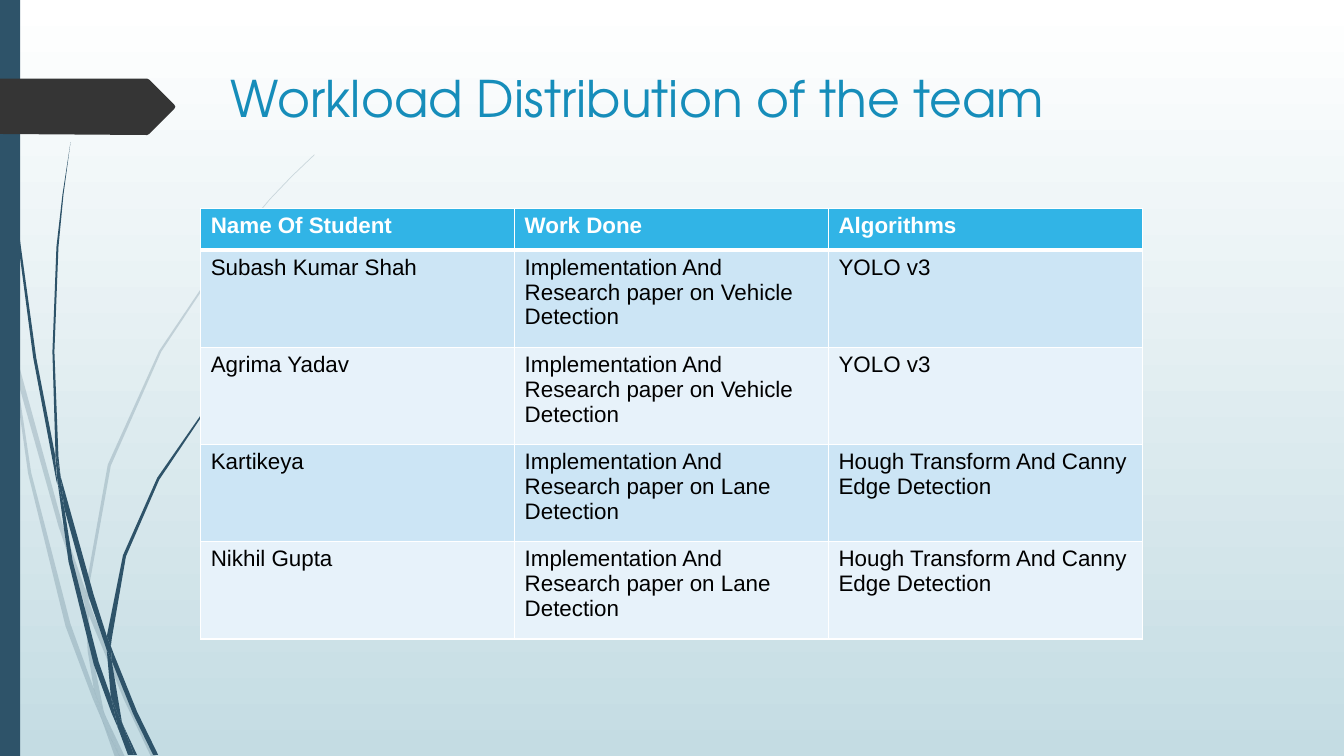
from dataclasses import dataclass

from lxml.etree import SubElement
from pptx import Presentation
from pptx.dml.color import RGBColor as Rgb
from pptx.enum.shapes import MSO_SHAPE as Kind
from pptx.enum.text import MSO_ANCHOR as Anchor, MSO_AUTO_SIZE as Fit, PP_ALIGN as Align
from pptx.oxml import parse_xml
from pptx.oxml.ns import nsdecls, qn
from pptx.util import Cm, Pt


@dataclass(frozen=True)
class Theme:
    top: str = "FFFFFF"
    base: str = "C4DCE3"
    stem: str = "2E5369"
    tag: str = "353535"
    title: str = "168DBA"
    head: str = "31B4E6"
    odd: str = "CCE5F5"
    even: str = "E7F2FA"
    ink: str = "000000"
    rule: str = "FFFFFF"
    title_font: str = "TeX Gyre Adventor"
    body_font: str = "Arial"
    title_size: int = 36
    body_size: int = 16


theme = Theme()
UNIT = Cm(2.54) / 100  # outline points are hundredths of an inch


def paint(shape, color):
    shape.fill.solid()
    shape.fill.fore_color.rgb = Rgb.from_string(color)
    shape.line.fill.background()
    shape.shadow.inherit = False


def outline(shapes, flat, color):
    first, *rest = zip(flat[::2], flat[1::2])
    pen = shapes.build_freeform(*first, scale=UNIT)
    pen.add_line_segments(rest, close=True)
    shape = pen.convert_to_shape()
    paint(shape, color)
    return shape


# Slide and background
deck = Presentation()
deck.slide_width, deck.slide_height = Cm(33.87), Cm(19.05)
slide = deck.slides.add_slide(deck.slide_layouts[5])
back = slide.background.fill
back.gradient()
back.gradient_angle = 270
for stop, color in zip(back.gradient_stops, (theme.top, theme.base)):
    stop.color.rgb = Rgb.from_string(color)

# Grass blades: faint ones behind, solid ones in front
faint = [
    (11, 350, 9, 322, 0, 282, 0, 299, 10, 344),
    (58, 522, 84, 599, 85, 586, 62, 520, 14, 345, 17, 376),
    (92, 607, 88, 596, 88, 610, 123, 694, 150, 751, 155, 751, 127, 692),
    (119, 751, 124, 751, 105, 711),
    (93, 683, 70, 619, 31, 469, 17, 376, 11, 350, 28, 470, 65, 621, 92, 693,
     101, 714, 99, 707),
    (84, 599, 87, 646, 93, 683, 96, 692, 105, 711, 103, 706, 91, 646, 88, 610,
     88, 608),
    (88, 584, 110, 462, 160, 349, 229, 245, 268, 198, 290, 175, 312, 154, 312, 153,
     289, 175, 268, 197, 228, 244, 158, 348, 107, 461, 85, 584, 85, 586, 88, 596),
    (101, 714, 114, 751, 119, 751),
    (88, 608, 88, 610, 88, 596, 85, 586, 84, 599),
    (96, 692, 93, 683, 99, 707, 101, 714, 119, 751, 105, 711),
]
solid = [
    (7, 110, 17, 233, 33, 355, 56, 477, 57, 481, 55, 457, 55, 453, 36, 355,
     19, 232, 8, 109, 5, 48, 4, 0, 3, 0, 4, 48),
    (88, 592, 106, 645, 106, 633, 106, 631, 93, 590, 60, 472, 64, 505),
    (113, 649, 110, 641, 111, 656, 132, 708, 152, 749, 157, 749, 136, 706),
    (110, 691, 98, 657, 72, 556, 64, 505, 57, 477, 68, 557, 93, 659, 111, 708,
     117, 722, 116, 717),
    (60, 472, 58, 453, 54, 349, 58, 245, 63, 193, 70, 141, 62, 193, 56, 245,
     52, 349, 55, 449),
    (133, 749, 136, 749, 122, 719),
    (57, 477, 64, 505, 60, 472, 55, 449, 55, 453),
    (111, 633, 125, 552, 158, 476, 205, 406, 231, 374, 245, 359, 261, 344, 260, 344,
     245, 358, 231, 373, 204, 405, 156, 474, 122, 551, 106, 631, 110, 641),
    (117, 722, 127, 749, 131, 749),
    (106, 645, 110, 691, 116, 706, 122, 719, 121, 716, 111, 656, 109, 651),
    (106, 645, 109, 651, 111, 656, 110, 641, 106, 631, 106, 633),
    (116, 706, 110, 691, 116, 717, 117, 722, 130, 749, 133, 749, 122, 719),
]
for blades, alpha in ((faint, 20), (solid, 100)):
    group = slide.shapes.add_group_shape()
    for flat in blades:
        blade = outline(group.shapes, flat, theme.stem)
        if alpha < 100:
            tint = next(blade._element.iter(qn("a:srgbClr")))
            SubElement(tint, qn("a:alpha")).set("val", str(alpha * 1000))

# Side bar and page tag
bar = slide.shapes.add_shape(Kind.RECTANGLE, 0, 0, Cm(0.51), deck.slide_height)
paint(bar, theme.stem)
tag = (0, 78, 146, 78, 148, 79, 173, 104, 174, 106, 173, 108, 148, 133, 146, 134, 0, 133)
outline(slide.shapes, tag, theme.tag)

# Title
title = slide.shapes.title
title.left, title.top, title.width, title.height = Cm(5.56), Cm(1.57), Cm(24.77), Cm(2.69)
frame = title.text_frame
frame.word_wrap, frame.auto_size, frame.vertical_anchor = True, Fit.NONE, Anchor.TOP
line = frame.paragraphs[0]
line.alignment = Align.LEFT
run = line.add_run()
run.text = "Workload Distribution of the team"
run.font.name, run.font.size = theme.title_font, Pt(theme.title_size)
run.font.color.rgb = Rgb.from_string(theme.title)

# Workload table
paper = "Implementation And Research paper on {} Detection"
hough = "Hough Transform And Canny Edge Detection"
rows = [
    ("Name Of Student", "Work Done", "Algorithms"),
    ("Subash Kumar Shah", paper.format("Vehicle"), "YOLO v3"),
    ("Agrima Yadav", paper.format("Vehicle"), "YOLO v3"),
    ("Kartikeya", paper.format("Lane"), hough),
    ("Nikhil Gupta", paper.format("Lane"), hough),
]
grid = slide.shapes.add_table(5, 3, Cm(5.06), Cm(5.26), Cm(23.72), Cm(10.8)).table
for col in grid.columns:
    col.width = Cm(7.91)
for i, row in enumerate(rows):
    grid.rows[i].height = Cm(2.45 if i else 1.04)
    fill = (theme.even if i % 2 == 0 else theme.odd) if i else theme.head
    edges = {"L": 1, "R": 1, "T": 3 if i == 1 else 1, "B": 1 if i else 3}
    for j, text in enumerate(row):
        cell = grid.cell(i, j)
        props = cell._tc.get_or_add_tcPr()
        for side, width in edges.items():
            props.append(parse_xml(
                f'<a:ln{side} {nsdecls("a")} w="{Pt(width)}"><a:solidFill>'
                f'<a:srgbClr val="{theme.rule}"/></a:solidFill></a:ln{side}>'))
        cell.fill.solid()
        cell.fill.fore_color.rgb = Rgb.from_string(fill)
        run = cell.text_frame.paragraphs[0].add_run()
        run.text = text
        run.font.name, run.font.size = theme.body_font, Pt(theme.body_size)
        run.font.bold = i == 0
        run.font.color.rgb = Rgb.from_string(theme.ink if i else theme.rule)

deck.save("out.pptx")
